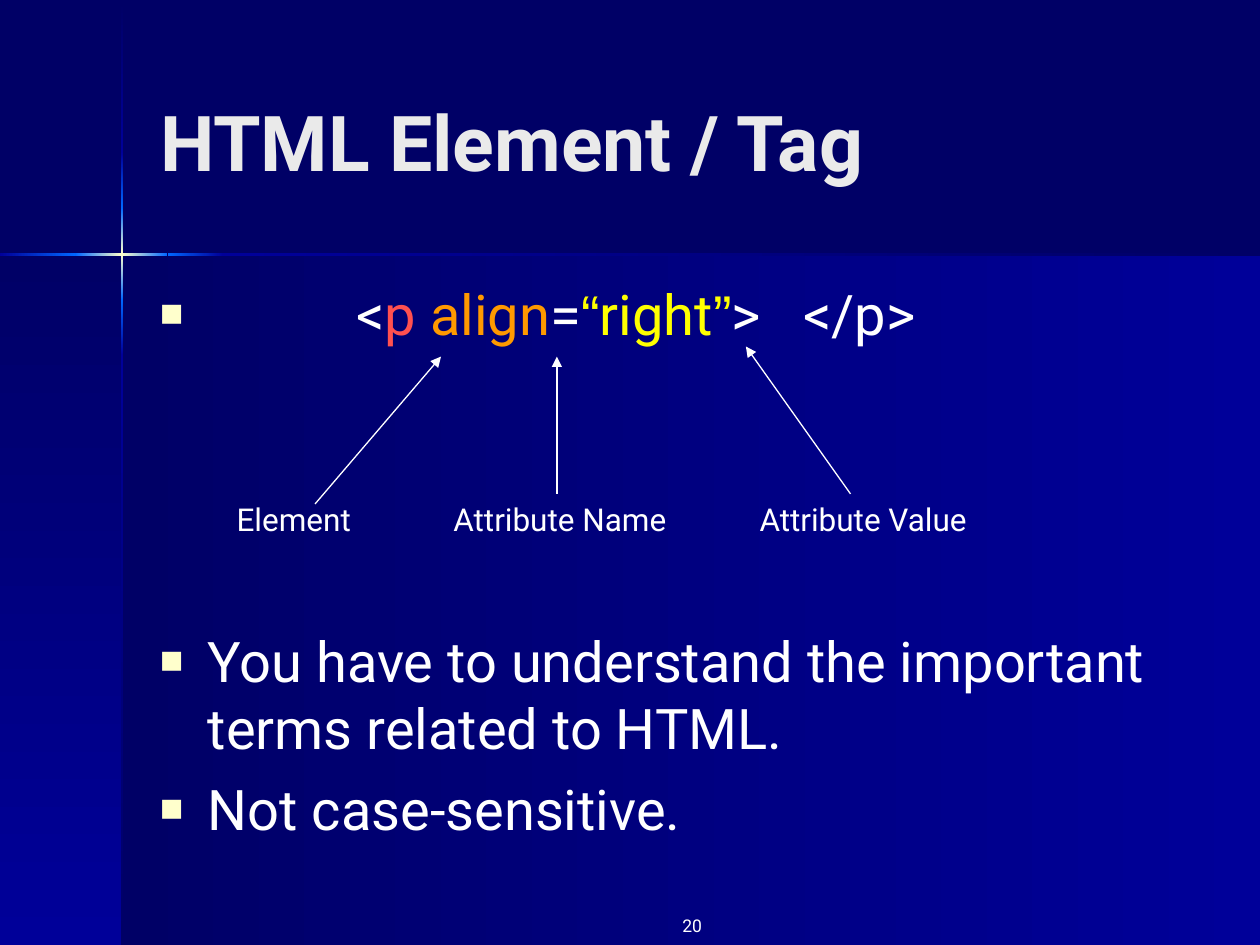
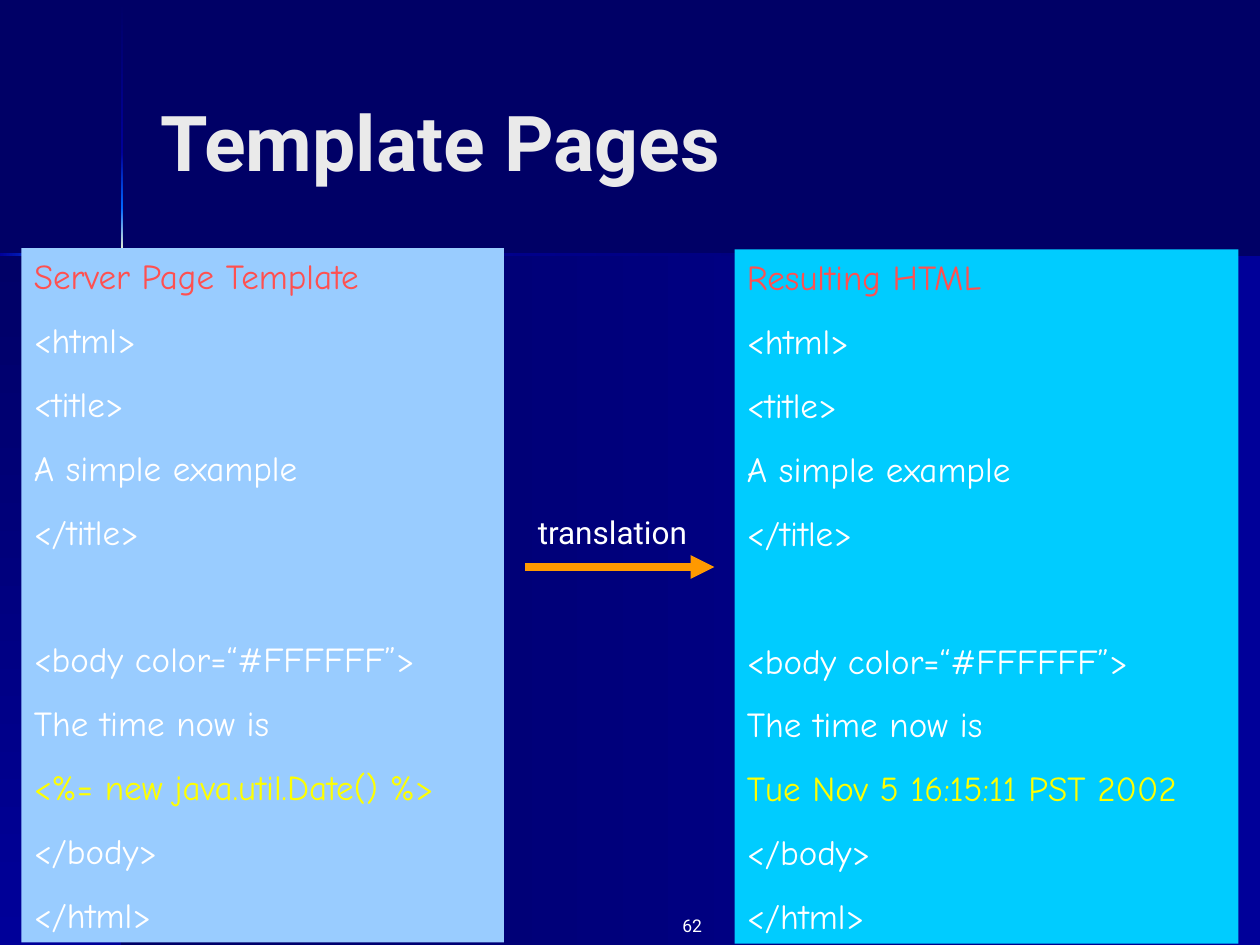
"""Build two slides on HTML elements and template pages."""
import itertools
from dataclasses import dataclass

import lxml.etree
import pptx
import pptx.dml.color
import pptx.enum.shapes
import pptx.enum.text
import pptx.oxml.ns
import pptx.util

Inches = pptx.util.Inches
Pt = pptx.util.Pt
qn = pptx.oxml.ns.qn
ALIGN = pptx.enum.text.PP_ALIGN
ANCHOR = pptx.enum.text.MSO_ANCHOR


@dataclass(frozen=True)
class Theme:
    """Colours, fonts and type sizes of the deck."""
    deep: str = "000066"
    blue: str = "000099"
    sky: str = "0066FF"
    cream: str = "FFFFCC"
    white: str = "FFFFFF"
    pale: str = "EAEAEA"
    red: str = "FF5050"
    orange: str = "FF9900"
    yellow: str = "FFFF00"
    ice: str = "99CCFF"
    cyan: str = "00CCFF"
    font: str = "Roboto"
    quote: str = "Arial"
    hand: str = "Comic Neue"
    head: int = 44
    body: int = 32
    code: int = 20
    label: int = 18
    foot: int = 10


T = Theme()
HINGE = 0.97
RULE = 2.02
THICK = 0.02
FADES = [(T.deep, T.blue), (T.blue, T.sky), (T.sky, T.cream, T.sky),
         (T.sky, T.blue), (T.blue, T.deep)]
DOWN = [0.01, 1.21, 1.65, 2.38, 2.82, 7.5]
ACROSS = [0, 0.6, 1.33, 1.77, 10]
PANELS = [(0.17, 1.97, 3.83, 5.51), (5.83, 1.98, 4, 5.51)]


def rgb(code):
    """Return a colour from its hex code."""
    return pptx.dml.color.RGBColor.from_string(code)


def style(font, size, color, name=T.font, bold=False):
    """Set a font's size, colour, name and weight."""
    font.size = Pt(size)
    font.color.rgb = rgb(color)
    font.name = name
    font.bold = bold


def block(slide, box):
    """Add a plain rectangle without line or shadow."""
    kind = pptx.enum.shapes.MSO_SHAPE.RECTANGLE
    shape = slide.shapes.add_shape(kind, *map(Inches, box))
    shape.shadow.inherit = False
    shape.line.fill.background()
    return shape


def fade(slide, box, tones, down):
    """Add a rectangle that fades through even colour stops."""
    shape = block(slide, box)
    shape.fill.gradient()
    shape.fill.gradient_angle = 270 if down else 0
    stops = shape._element.spPr.find(qn("a:gradFill")).find(qn("a:gsLst"))
    for stop in list(stops):
        stops.remove(stop)
    for i, tone in enumerate(tones):
        place = str(100000 * i // (len(tones) - 1))
        stop = lxml.etree.SubElement(stops, qn("a:gs"), pos=place)
        lxml.etree.SubElement(stop, qn("a:srgbClr"), val=tone)


def inside(box, cover):
    """Tell whether a box lies wholly within another."""
    left, top, wide, high = box
    x, y, w, h = cover
    return x <= left and y <= top and left + wide <= x + w and top + high <= y + h


def star(slide, covers):
    """Draw the two bands and the crossed light rays that show."""
    high = 7.5 - RULE
    fade(slide, (HINGE, RULE, 10 - HINGE, high), FADES[0], False)
    fade(slide, (0, RULE, HINGE, high), FADES[0], True)
    rays = [((HINGE - THICK / 2, a, THICK, b - a), tones, True)
            for (a, b), tones in zip(itertools.pairwise(DOWN), FADES)]
    rays += [((a, RULE - THICK / 2, b - a, THICK), tones, False)
             for (a, b), tones in zip(itertools.pairwise(ACROSS), FADES[1:])]
    for box, tones, down in rays:
        if not any(inside(box, cover) for cover in covers):
            fade(slide, box, tones, down)


def frame(slide, box, wrap=True):
    """Add a text box and return its text frame."""
    text = slide.shapes.add_textbox(*map(Inches, box)).text_frame
    text.word_wrap = wrap
    return text


def label(slide, box, words, size=T.label, align=ALIGN.LEFT):
    """Add a one-line white label."""
    text = frame(slide, box, align != ALIGN.LEFT)
    para = text.paragraphs[0]
    para.text = words
    para.alignment = align
    style(para.font, size, T.white)


def start(deck, title, number, covers=()):
    """Add a slide with its bands, title and number."""
    slide = deck.slides.add_slide(deck.slide_layouts[5])
    star(slide, covers)
    label(slide, (5, 7.21, 0.67, 0.24), number, T.foot, ALIGN.RIGHT)
    head = slide.shapes.title
    head.left, head.top, head.width, head.height = map(Inches, (1.17, 0.33, 8.25, 1.57))
    text = head.text_frame
    text.text = title
    text.auto_size = pptx.enum.text.MSO_AUTO_SIZE.NONE
    text.vertical_anchor = ANCHOR.MIDDLE
    para = text.paragraphs[0]
    para.alignment = ALIGN.LEFT
    style(para.font, T.head, T.pale, bold=True)
    return slide


def bullet(para, indent=0.38):
    """Give a paragraph a square bullet and the body font."""
    props = para._p.get_or_add_pPr()
    props.set("marL", str(Inches(indent)))
    props.set("indent", str(-Inches(indent)))
    tint = lxml.etree.SubElement(props, qn("a:buClr"))
    lxml.etree.SubElement(tint, qn("a:srgbClr"), val=T.cream)
    lxml.etree.SubElement(props, qn("a:buSzPct"), val="70000")
    lxml.etree.SubElement(props, qn("a:buFont"), typeface=T.quote)
    lxml.etree.SubElement(props, qn("a:buChar"), char="■")
    style(para.font, T.body, T.white)


def arrow(slide, ends, color, width):
    """Add a straight arrow."""
    kind = pptx.enum.shapes.MSO_CONNECTOR.STRAIGHT
    line = slide.shapes.add_connector(kind, *map(Inches, ends))
    line.line.color.rgb = rgb(color)
    line.line.width = Pt(width)
    lxml.etree.SubElement(line.line._get_or_add_ln(), qn("a:tailEnd"), type="triangle")
    lxml.etree.SubElement(line._element.spPr, qn("a:effectLst"))


def panel(slide, box, fill, title, result):
    """Add a filled panel with a page listing."""
    shape = block(slide, box)
    shape.fill.solid()
    shape.fill.fore_color.rgb = rgb(fill)
    text = shape.text_frame
    text.word_wrap = True
    text.vertical_anchor = ANCHOR.TOP
    lines = [title, "<html>", "<title>", "A simple example", "</title>",
             "<body color=“#FFFFFF”>", "The time now is", result, "</body>", "</html>"]
    tints = {title: T.red, result: T.yellow}
    for i, line in enumerate(lines):
        para = text.add_paragraph() if i else text.paragraphs[0]
        para.text = line
        para.alignment = ALIGN.LEFT
        if i:
            para.space_before = Pt(49 if line.startswith("<body") else 12.5)
        style(para.font, T.code, tints.get(line, T.white), T.hand)


def tag(slide):
    """Add the coloured sample tag."""
    para = frame(slide, (1.17, 2.17, 8.58, 0.67)).paragraphs[0]
    bullet(para, 1.56)
    parts = [("<", T.white), ("p ", T.red), ("align", T.orange), ("=", T.white),
             ("“", T.yellow), ("right", T.yellow), ("”", T.yellow),
             (">", T.white), (" ", T.white), ("</p>", T.white)]
    for words, color in parts:
        run = para.add_run()
        run.text = words
        run.font.color.rgb = rgb(color)
        if words in "“”":
            run.font.name = T.quote
        if words == " ":
            run._r.get_or_add_rPr().set("spc", "1600")


def element(deck):
    """Build the slide on the parts of a tag."""
    slide = start(deck, "HTML Element / Tag", "20")
    tag(slide)
    notes = [("Element", 1.78, 1.16, (2.5, 4, 3.5, 2.83)),
             ("Attribute Name", 3.5, 2.01, (4.42, 3.92, 4.42, 2.83)),
             ("Attribute Value", 5.93, 1.96, (6.75, 3.92, 5.92, 2.75))]
    for words, left, wide, ends in notes:
        label(slide, (left, 3.92, wide, 0.4), words)
        arrow(slide, ends, T.white, 0.75)
    text = frame(slide, (1.17, 4.92, 8.25, 2.17))
    text.text = ("You have to understand the important terms related to HTML.\n"
                 "Not case-sensitive.")
    for para in text.paragraphs:
        bullet(para)
    text.paragraphs[1].space_before = Pt(8)


def pages(deck):
    """Build the slide on template pages."""
    slide = start(deck, "Template Pages", "62", PANELS)
    panel(slide, PANELS[0], T.ice, "Server Page Template", "<%= new java.util.Date() %>")
    panel(slide, PANELS[1], T.cyan, "Resulting HTML", "Tue Nov 5 16:15:11 PST 2002")
    arrow(slide, (4.17, 4.5, 5.67, 4.5), T.orange, 4.5)
    label(slide, (4.17, 4.02, 1.47, 0.4), "translation")


def main():
    """Build and save the deck."""
    deck = pptx.Presentation()
    deck.slide_width, deck.slide_height = Inches(10), Inches(7.5)
    back = deck.slide_master.background.fill
    back.solid()
    back.fore_color.rgb = rgb(T.deep)
    element(deck)
    pages(deck)
    deck.save("out.pptx")


if __name__ == "__main__":
    main()
